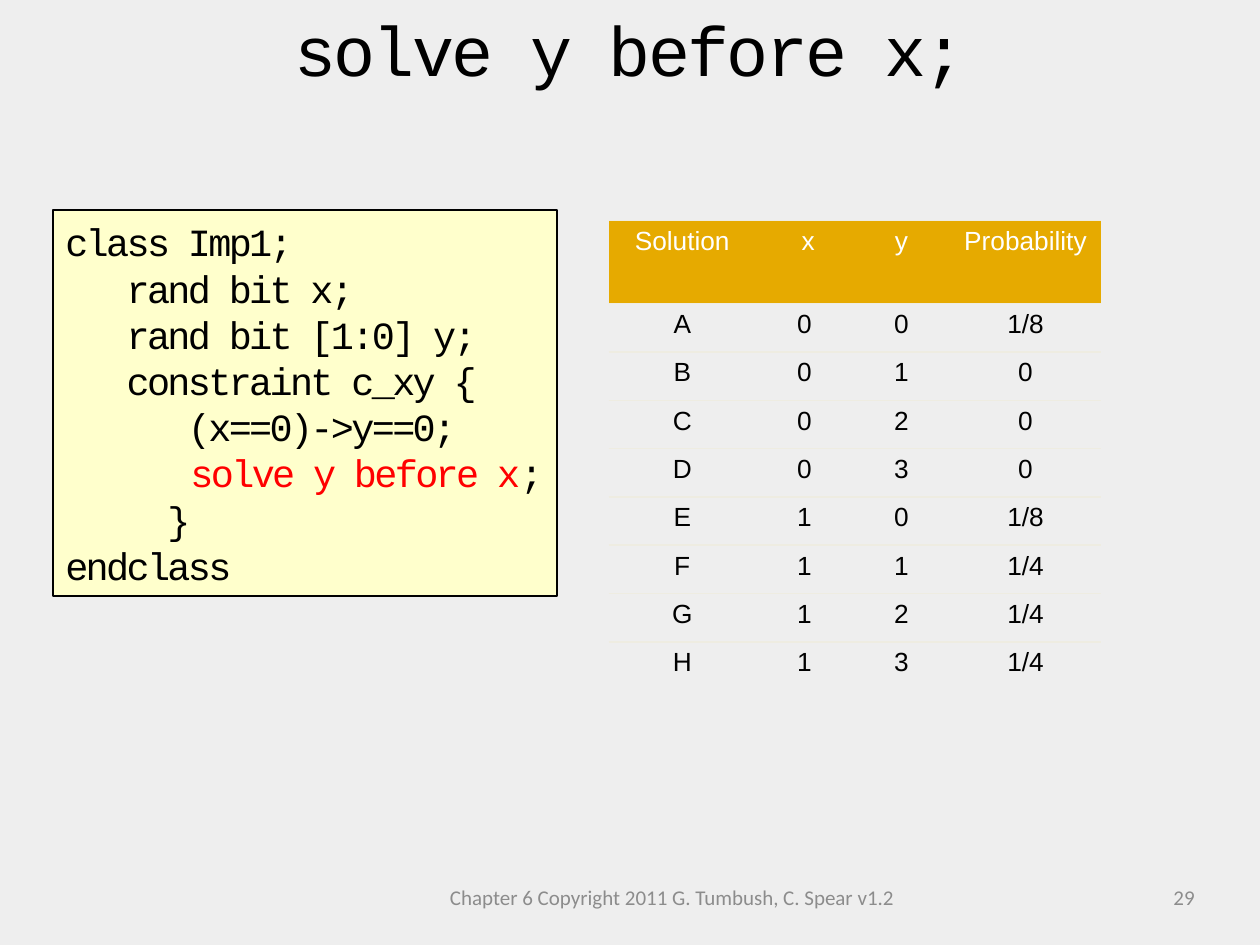
from lxml.etree import SubElement
from pptx import Presentation
from pptx.dml.color import RGBColor as RGB
from pptx.enum.shapes import MSO_SHAPE as SHAPE
from pptx.enum.text import MSO_ANCHOR as ANCHOR, MSO_AUTO_SIZE as FIT, PP_ALIGN as ALIGN
from pptx.oxml.ns import qn
from pptx.util import Inches, Pt

COLORS = {
    "background": "EEEEEE", "text": "000000", "muted": "8C8C8C", "code": "FFFFCC",
    "highlight": "FF0000", "header": "E6AA00", "header_text": "FFFFFF", "rule": "EEECE1",
}
CODE = [
    ["class Imp1;"],
    ["   rand bit x;"],
    ["   rand bit [1:0] y;"],
    ["   constraint c_xy {"],
    ["      (x==0)->y==0;"],
    ["      ", "solve y before x", ";"],
    ["     }"],
    ["endclass"],
]
HEADER = ["Solution", " x", " y ", "Probability"]
PROBABILITIES = ["1/8", "0", "0", "0", "1/8", "1/4", "1/4", "1/4"]
COLUMNS = [1.17, 0.77, 0.77, 1.2]
HEADER_ROW = 0.66
PLAIN_STYLE = "{2D5ABB26-0587-4C30-8999-92F81FD0307C}"


def color(name):
    """Return the named colour."""
    return RGB.from_string(COLORS[name])


def style(p, font, size, ink="text", align=ALIGN.LEFT):
    """Format a whole paragraph."""
    p.font.name, p.font.size = font, Pt(size)
    p.font.color.rgb = color(ink)
    p.alignment = align


def tighten(p, points=-1.5):
    """Set the letter spacing of every run in a paragraph."""
    for r in p.runs:
        r.font._element.set("spc", str(int(points * 100)))


def place(sp, box):
    """Move a shape to a box given in inches."""
    sp.left, sp.top, sp.width, sp.height = map(Inches, box)


def add_title(s, box, text):
    """Fill the title placeholder with a line of code."""
    sp = s.shapes.title
    place(sp, box)
    tf = sp.text_frame
    tf.text, tf.vertical_anchor, tf.auto_size = text, ANCHOR.TOP, FIT.NONE
    p = tf.paragraphs[0]
    style(p, "Courier New", 40, align=ALIGN.CENTER)
    p.space_before = Pt(8)
    tighten(p)


def add_code(s, box, lines):
    """Draw the listing, with the middle run of a split line highlighted."""
    sp = s.shapes.add_shape(SHAPE.RECTANGLE, *map(Inches, box))
    sp.shadow.inherit = False
    sp.fill.solid()
    sp.fill.fore_color.rgb = color("code")
    sp.line.color.rgb, sp.line.width = color("text"), Pt(1.25)
    tf = sp.text_frame
    tf.vertical_anchor = ANCHOR.MIDDLE
    for i, parts in enumerate(lines):
        p = tf.add_paragraph() if i else tf.paragraphs[0]
        style(p, "Courier New", 22)
        for j, part in enumerate(parts):
            r = p.add_run()
            r.text = part
            r.font.color.rgb = color("highlight" if j == 1 else "text")
        tighten(p)


def add_rule(cell):
    """Draw the horizontal rule above a cell."""
    pr = cell._tc.get_or_add_tcPr()
    ln = pr.makeelement(qn("a:lnT"), {"w": str(Pt(1))})
    SubElement(SubElement(ln, qn("a:solidFill")), qn("a:srgbClr"), val=COLORS["rule"])
    pr.insert(0, ln)


def add_solutions(s, box, rows):
    """Build the table of solutions under its header row."""
    table = s.shapes.add_table(len(rows), len(COLUMNS), *map(Inches, box)).table
    table._tbl.tblPr.find(qn("a:tableStyleId")).text = PLAIN_STYLE
    table.horz_banding = False
    body_row = (box[3] - HEADER_ROW) / (len(rows) - 1)
    for column, width in zip(table.columns, COLUMNS):
        column.width = Inches(width)
    for i, row in enumerate(rows):
        table.rows[i].height = Inches(body_row if i else HEADER_ROW)
        for j, text in enumerate(row):
            cell = table.cell(i, j)
            cell.text = text
            style(cell.text_frame.paragraphs[0], "Arial", 15,
                  "text" if i else "header_text", ALIGN.CENTER)
            if i:
                cell.fill.background()
            else:
                cell.fill.solid()
                cell.fill.fore_color.rgb = color("header")
            add_rule(cell)


def add_footer(s, box, text, align):
    """Write one part of the footer."""
    tf = s.shapes.add_textbox(*map(Inches, box)).text_frame
    tf.text, tf.word_wrap, tf.vertical_anchor = text, True, ANCHOR.MIDDLE
    style(tf.paragraphs[0], "Calibri", 12, "muted", align)


def main():
    """Build and save the slide."""
    prs = Presentation()
    prs.slide_width, prs.slide_height = Inches(10), Inches(7.5)
    s = prs.slides.add_slide(prs.slide_layouts[5])
    s.background.fill.solid()
    s.background.fill.fore_color.rgb = color("background")
    solutions = [["ABCDEFGH"[i], str(i // 4), str(i % 4), chance]
                 for i, chance in enumerate(PROBABILITIES)]
    add_footer(s, (3.42, 6.92, 3.83, 0.4),
               "Chapter 6 Copyright 2011 G. Tumbush, C. Spear v1.2", ALIGN.CENTER)
    add_title(s, (0, 0, 10, 0.77), "solve y before x;")
    add_footer(s, (7.25, 6.92, 2.33, 0.4), "29", ALIGN.RIGHT)
    add_code(s, (0.42, 1.67, 4, 3.06), CODE)
    add_solutions(s, (4.83, 1.75, sum(COLUMNS), 3.73), [HEADER, *solutions])
    prs.save("out.pptx")


if __name__ == "__main__":
    main()
